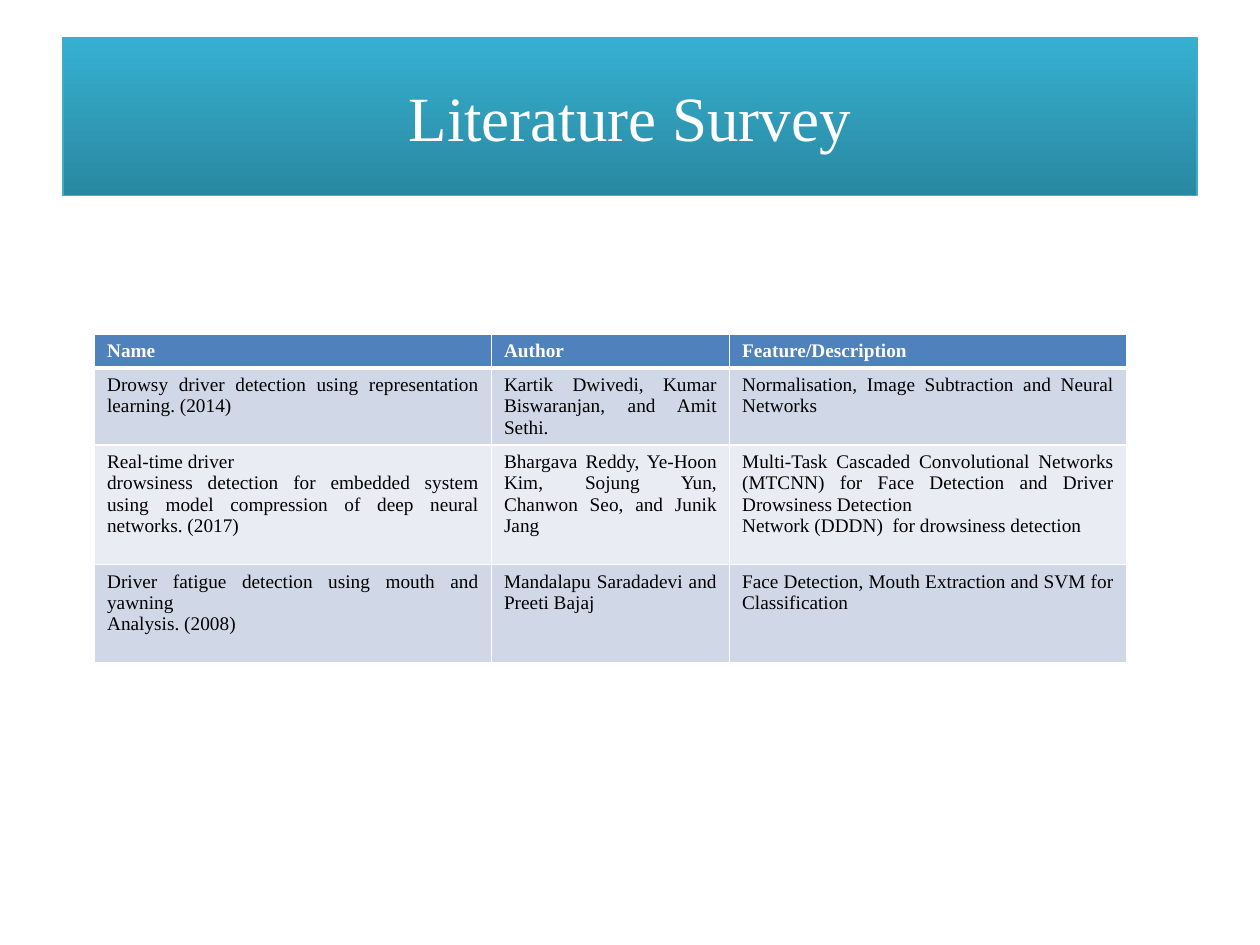
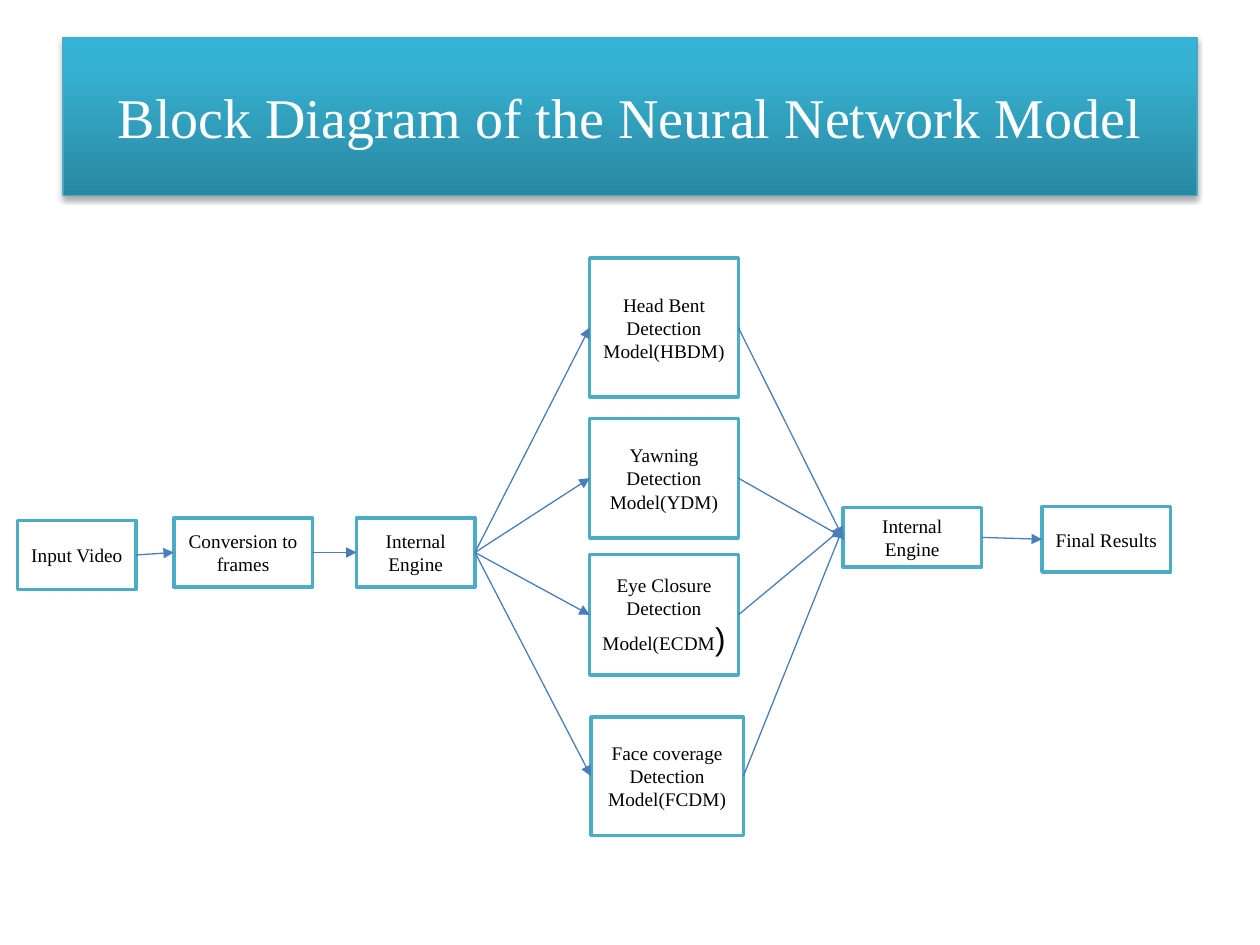
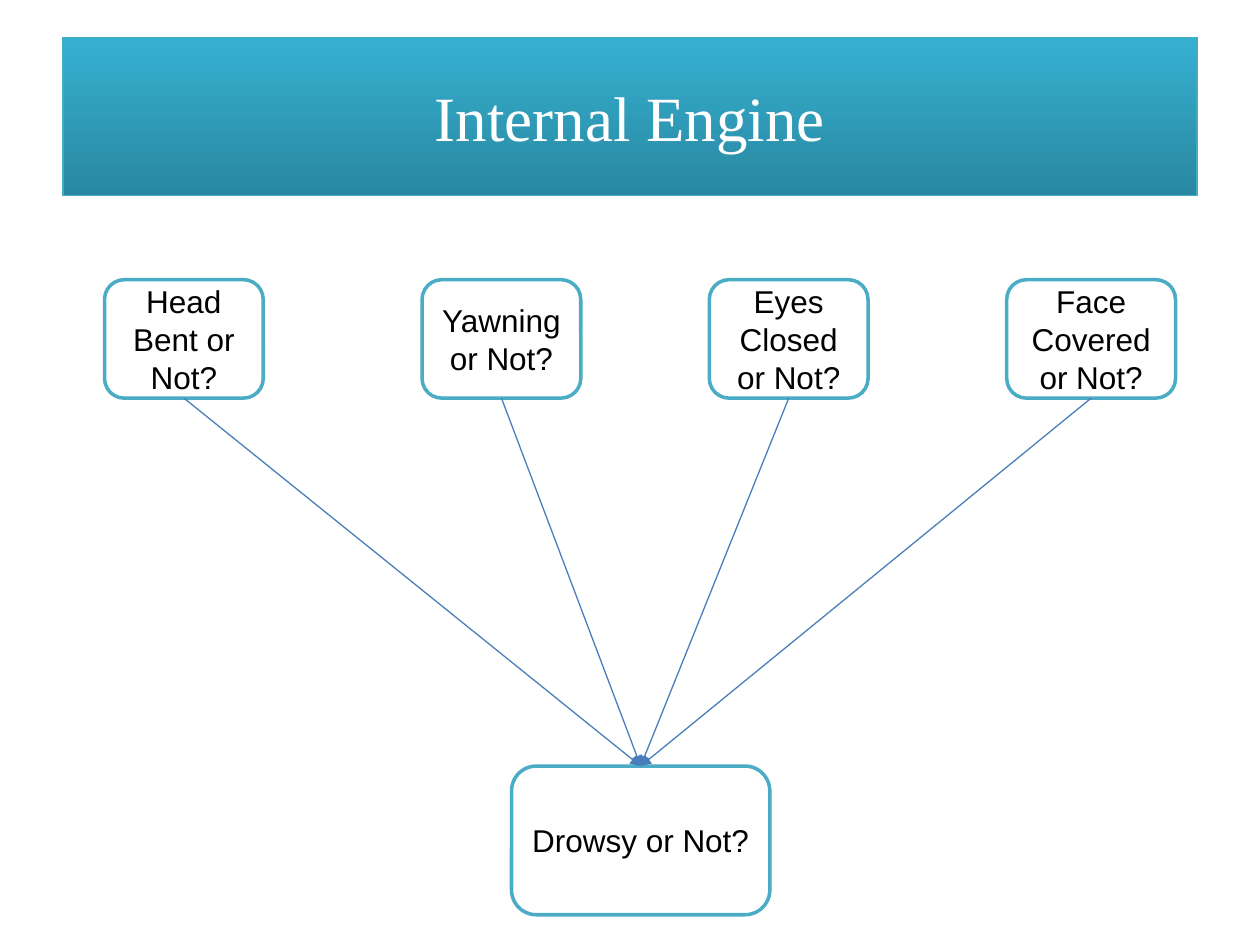
from copy import deepcopy
from functools import reduce

from pptx import Presentation
from pptx import util as u
from pptx.dml.color import RGBColor
from pptx.enum import shapes, text
from pptx.oxml import parse_xml
from pptx.oxml.ns import nsdecls
from pptx.oxml.xmlchemy import OxmlElement

WHITE = RGBColor(0xFF, 0xFF, 0xFF)
BLACK = RGBColor(0x00, 0x00, 0x00)
BAND_DARK = RGBColor(0x29, 0x88, 0xA1)
BAND_LIGHT = RGBColor(0x36, 0xB0, 0xD1)
BAND_BRIGHT = RGBColor(0x34, 0xB4, 0xD6)
BAND_EDGE = RGBColor(0x46, 0xAA, 0xC4)
BOX_EDGE = RGBColor(0x4B, 0xAC, 0xC6)
ARROW = RGBColor(0x4A, 0x7E, 0xBB)
HEADER = RGBColor(0x4F, 0x81, 0xBD)
ROW_TINTS = RGBColor(0xD0, 0xD8, 0xE7), RGBColor(0xE9, 0xEC, 0xF3)

SERIF, SANS = "Times New Roman", "Arial"
TITLE = {"name": SERIF, "size": u.Pt(36), "color.rgb": WHITE}
SMALL = {"name": SERIF, "size": u.Pt(11), "color.rgb": BLACK}
LARGE = {"name": SANS, "size": u.Pt(18), "color.rgb": BLACK}
HEAD = {**SMALL, "color.rgb": WHITE, "bold": True}

COLS, ROWS = 100, 75
TOP, LEFT, BOTTOM, RIGHT = range(4)
RECT = shapes.MSO_SHAPE.RECTANGLE
ROUNDED = shapes.MSO_SHAPE.ROUNDED_RECTANGLE


def apply(obj, values):
    """Set attributes from a dict; dotted names reach into nested objects."""
    for name, value in values.items():
        *parents, last = name.split(".")
        setattr(reduce(getattr, parents, obj), last, value)


def add_runs(p, runs):
    for words, style in runs:
        r = p.add_run()
        r.text = words
        apply(r.font, style)


class Deck:
    def __init__(self):
        self.prs = Presentation()
        self.prs.slide_width, self.prs.slide_height = u.Inches(10), u.Inches(7.5)
        self.slide = None

    def x(self, col):
        return round(self.prs.slide_width * col / COLS)

    def y(self, row):
        return round(self.prs.slide_height * row / ROWS)

    def area(self, left, top, width, height):
        return self.x(left), self.y(top), self.x(width), self.y(height)

    def shape(self, kind, area, runs, edge, weight, margins):
        sp = self.slide.shapes.add_shape(kind, *self.area(*area))
        sp.shadow.inherit = False
        apply(sp.line, {"color.rgb": edge, "width": u.Pt(weight)})
        tf = sp.text_frame
        side, end = (u.Inches(m) for m in margins)
        apply(tf, {"word_wrap": True, "vertical_anchor": text.MSO_ANCHOR.MIDDLE,
                   "margin_left": side, "margin_right": side,
                   "margin_top": end, "margin_bottom": end})
        p = tf.paragraphs[0]
        p.alignment = text.PP_ALIGN.CENTER
        add_runs(p, runs)
        return sp

    def new_slide(self, title, size=36, stops=((0, BAND_DARK), (1, BAND_LIGHT))):
        """Start a blank slide with the gradient title band."""
        self.slide = self.prs.slides.add_slide(self.prs.slide_layouts[6])
        runs = [(title, {**TITLE, "size": u.Pt(size)})]
        band = self.shape(RECT, (5, 3, 90, 12.5), runs, BAND_EDGE, 0.75, (0, 0))
        band.fill.gradient()
        band.fill.gradient_angle = 90
        gs_list = band._element.spPr.find(".//{*}gsLst")
        while len(gs_list) < len(stops):
            gs_list.append(deepcopy(gs_list[0]))
        for stop, (position, color) in zip(band.fill.gradient_stops, stops):
            apply(stop, {"position": position, "color.rgb": color})
        return band

    def drop_shadow(self, sp):
        effects = sp._element.spPr.find("{*}effectLst")
        effects.append(parse_xml(
            f'<a:outerShdw {nsdecls("a")} blurRad="{u.Pt(3.1)}" dist="{u.Pt(1.8)}" '
            'dir="5400000" rotWithShape="0"><a:srgbClr val="000000">'
            '<a:alpha val="35000"/></a:srgbClr></a:outerShdw>'))

    def box(self, area, words, style=SMALL, kind=RECT):
        runs = [(words, style)] if isinstance(words, str) else words
        sp = self.shape(kind, area, runs, BOX_EDGE, 2, (0.1, 0.05))
        sp.fill.solid()
        sp.fill.fore_color.rgb = WHITE
        return sp

    def arrow(self, start, end, start_side=RIGHT, end_side=LEFT):
        """Join a box to another box, or to a (column, row) point."""
        is_point = isinstance(end, tuple)
        tip = (self.x(end[0]), self.y(end[1])) if is_point else (0, 0)
        c = self.slide.shapes.add_connector(shapes.MSO_CONNECTOR.STRAIGHT, 0, 0, *tip)
        c.begin_connect(start, start_side)
        if not is_point:
            c.end_connect(end, end_side)
        apply(c.line, {"color.rgb": ARROW, "width": u.Pt(0.75)})
        head = OxmlElement("a:tailEnd")
        head.set("type", "triangle")
        c.line._get_or_add_ln().append(head)
        c._element.spPr.append(OxmlElement("a:effectLst"))

    def borders(self, cell, top, bottom):
        tc_pr = cell._tc.get_or_add_tcPr()
        for side, weight in zip("LRTB", (0.96, 0.96, top, bottom)):
            tc_pr.append(parse_xml(
                f'<a:ln{side} {nsdecls("a")} w="{u.Pt(weight)}"><a:solidFill>'
                f'<a:srgbClr val="{WHITE}"/></a:solidFill></a:ln{side}>'))

    def table(self, left, top, widths, heights, rows):
        frame = self.slide.shapes.add_table(
            len(rows), len(widths), *self.area(left, top, sum(widths), sum(heights)))
        table = frame.table
        table.horz_banding = False
        for column, width in zip(table.columns, widths):
            column.width = self.x(width)
        for i, (row, height, entries) in enumerate(zip(table.rows, heights, rows)):
            row.height = self.y(height)
            for cell, entry in zip(row.cells, entries):
                self.borders(cell, 3 if i == 1 else 0.96, 3 if i == 0 else 0.96)
                cell.fill.solid()
                cell.fill.fore_color.rgb = ROW_TINTS[(i - 1) % 2] if i else HEADER
                for n, line in enumerate(entry.split("\n")):
                    tf = cell.text_frame
                    p = tf.add_paragraph() if n else tf.paragraphs[0]
                    p.alignment = text.PP_ALIGN.JUSTIFY
                    add_runs(p, [(line, SMALL if i else HEAD)])


def literature_survey(deck):
    deck.new_slide("Literature Survey")
    deck.table(7.5, 26.5, (31.5, 18.9, 31.5), (2.7, 6.1, 9.5, 7.8), [
        ("Name", "Author", "Feature/Description"),
        ("Drowsy driver detection using representation learning. (2014)",
         "Kartik Dwivedi, Kumar Biswaranjan, and Amit Sethi. ",
         "Normalisation, Image Subtraction and Neural Networks"),
        ("Real-time driver\ndrowsiness detection for embedded system using model "
         "compression of deep neural networks. (2017)",
         "Bhargava Reddy, Ye-Hoon Kim, Sojung Yun, Chanwon Seo, and Junik Jang",
         "Multi-Task Cascaded Convolutional Networks (MTCNN) for Face Detection and "
         "Driver Drowsiness Detection\nNetwork (DDDN)  for drowsiness detection"),
        ("Driver fatigue detection using mouth and yawning\nAnalysis. (2008)",
         "Mandalapu Saradadevi and Preeti Bajaj",
         "Face Detection, Mouth Extraction and SVM for Classification"),
    ])


def block_diagram(deck):
    band = deck.new_slide("Block Diagram of the Neural Network Model", 32,
                          ((0, BAND_DARK), (0.8, BAND_LIGHT), (1, BAND_BRIGHT)))
    deck.drop_shadow(band)

    video = deck.box((1.4, 41.3, 9.4, 5.5), "Input Video")
    frames = deck.box((13.8, 41.1, 11, 5.5), "Conversion to frames")
    splitter = deck.box((28.3, 41.1, 9.4, 5.5), "Internal Engine")
    merger = deck.box((66.9, 40.3, 11, 4.7), "Internal Engine")
    results = deck.box((82.7, 40.2, 10.2, 5.2), "Final Results")
    for start, end in ((video, frames), (frames, splitter), (merger, results)):
        deck.arrow(start, end)

    lower_tip = (66.9, 41.9)
    eye_closure = [("Eye Closure Detection Model(ECDM", SMALL), (")", LARGE)]
    for area, words, target in (
            ((46.8, 20.5, 11.8, 11), "Head Bent Detection Model(HBDM)", merger),
            ((46.8, 33.2, 11.8, 9.5), "Yawning Detection Model(YDM)", merger),
            ((46.8, 44, 11.8, 9.6), eye_closure, lower_tip),
            ((46.9, 56.9, 12.1, 9.4), "Face coverage Detection Model(FCDM)", lower_tip)):
        model = deck.box(area, words)
        deck.arrow(splitter, model)
        deck.arrow(model, target)


def internal_engine(deck):
    deck.new_slide("Internal Engine")
    verdict = deck.box((40.6, 60.8, 20.5, 11.8), "Drowsy or Not?", LARGE, ROUNDED)
    for left, width, question in ((8.3, 12.6, "Head Bent or Not?"),
                                  (33.5, 12.6, "Yawning or Not?"),
                                  (56.3, 12.6, "Eyes Closed or Not?"),
                                  (79.9, 13.4, "Face Covered or Not?")):
        check = deck.box((left, 22.2, width, 9.4), question, LARGE, ROUNDED)
        deck.arrow(check, verdict, BOTTOM, TOP)


def main():
    deck = Deck()
    literature_survey(deck)
    block_diagram(deck)
    internal_engine(deck)
    deck.prs.save("out.pptx")


if __name__ == "__main__":
    main()
